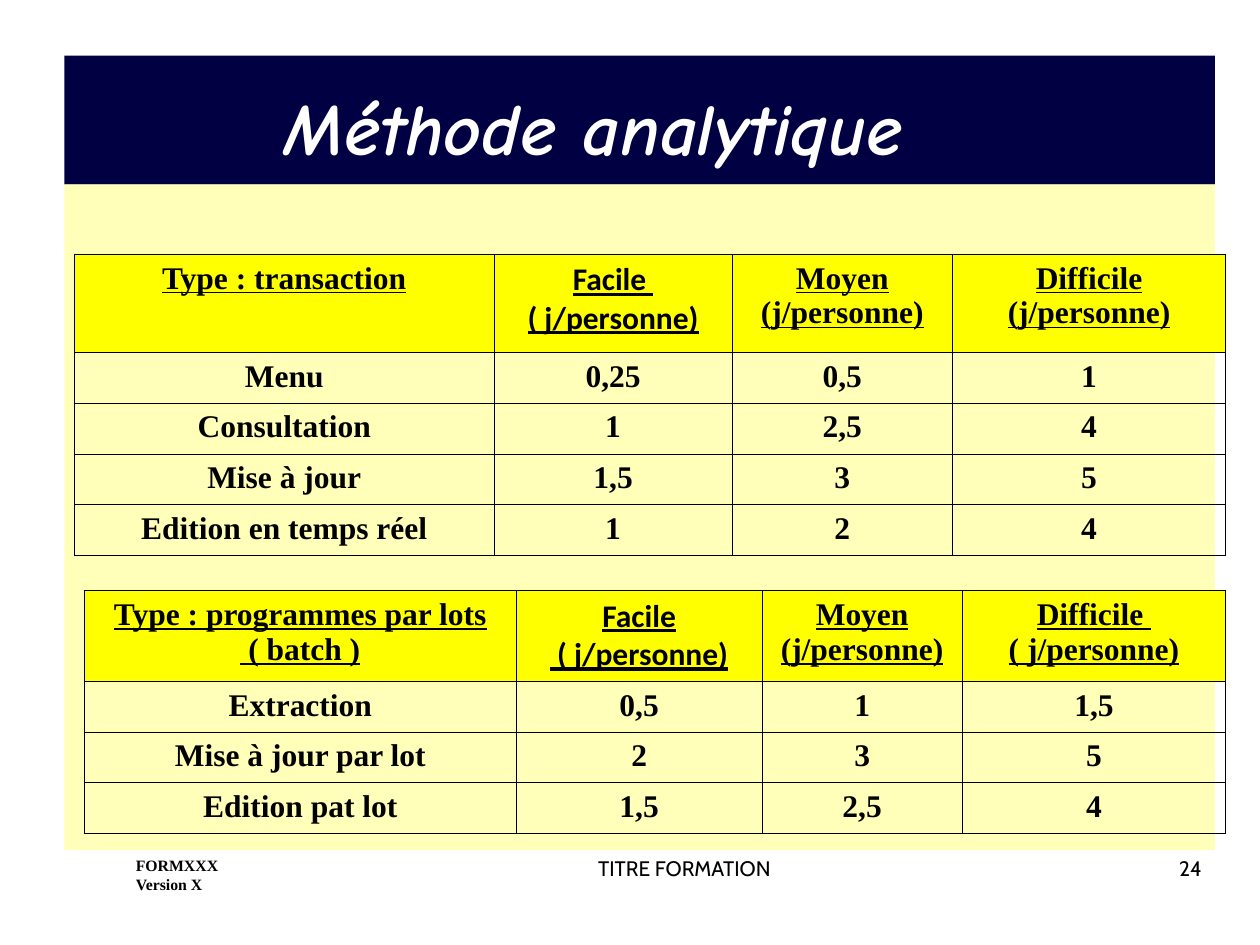
from dataclasses import dataclass

from lxml.etree import SubElement
from pptx import Presentation
from pptx.dml.color import RGBColor
from pptx.enum.shapes import MSO_SHAPE
from pptx.enum.text import MSO_ANCHOR, MSO_AUTO_SIZE, PP_ALIGN
from pptx.oxml.ns import qn
from pptx.util import Cm, Pt

SERIF = "Times New Roman"
HEADER_FONTS = (SERIF, "Calibri", SERIF, SERIF)
ROW_HEIGHT = 1.02
FOOTER_TOP = 17.12


@dataclass
class Band:
    top: float
    height: float
    color: str
    opacity: int


@dataclass
class Footer:
    left: float
    width: float
    height: float
    text: str
    align: PP_ALIGN
    font: str
    size: int
    bold: bool = False


@dataclass
class EffortTable:
    left: float
    top: float
    widths: tuple[float, ...]
    header_height: float
    headers: tuple[str, ...]
    rows: tuple[tuple[str, ...], ...]


BANDS = (
    Band(1.12, 2.6, "000042", 100),
    Band(3.72, 13.42, "FFFF99", 68),
)

FOOTERS = (
    Footer(9.7, 8.2, 1.6, "TITRE FORMATION", PP_ALIGN.CENTER, "Cabin", 12),
    Footer(20.29, 4.19, 1.6, "24", PP_ALIGN.RIGHT, "Cabin", 12),
    Footer(2.49, 4.7, 1.5, "FORMXXX\nVersion X", PP_ALIGN.LEFT, SERIF, 9, True),
)

EFFORT_TABLES = (
    EffortTable(
        1.5, 5.13, (8.46, 4.8, 4.44, 5.51), 1.98,
        ("Type : transaction", "Facile \n( j/personne)",
         "Moyen (j/personne)", "Difficile\n(j/personne)"),
        (
            ("Menu", "0,25", "0,5", "1"),
            ("Consultation", "1", "2,5", "4"),
            ("Mise à jour", "1,5", "3", "5"),
            ("Edition en temps réel", "1", "2", "4"),
        ),
    ),
    EffortTable(
        1.7, 11.91, (8.71, 4.95, 4.04, 5.31), 1.83,
        ("Type : programmes par lots\n ( batch )", "Facile\n ( j/personne)",
         "Moyen (j/personne)", "Difficile \n( j/personne)"),
        (
            ("Extraction", "0,5", "1", "1,5"),
            ("Mise à jour par lot", "2", "3", "5"),
            ("Edition pat lot", "1,5", "2,5", "4"),
        ),
    ),
)


def paint(fill, color: str) -> None:
    fill.solid()
    fill.fore_color.rgb = RGBColor.from_string(color)


def write(frame, text: str, font: str, size: int, color: str, align: PP_ALIGN,
          bold: bool = False, italic: bool = False, underline: bool = False) -> None:
    frame.text = text
    for paragraph in frame.paragraphs:
        paragraph.alignment = align
        paragraph.font.name = font
        paragraph.font.size = Pt(size)
        paragraph.font.bold = bold
        paragraph.font.italic = italic
        paragraph.font.underline = underline
        paint(paragraph.font.fill, color)


def draw_band(slide, band: Band) -> None:
    panel = slide.shapes.add_shape(
        MSO_SHAPE.RECTANGLE, Cm(1.3), Cm(band.top), Cm(23.19), Cm(band.height))
    panel.shadow.inherit = False
    panel.line.fill.background()
    paint(panel.fill, band.color)
    if band.opacity < 100:
        tint = panel.fill._xPr.find(qn("a:solidFill"))[0]
        SubElement(tint, qn("a:alpha"), val=str(band.opacity * 1000))


def draw_title(slide) -> None:
    title = slide.shapes.title
    title.left, title.top, title.width, title.height = (
        Cm(5.49), Cm(1.52), Cm(15.39), Cm(3.05))
    frame = title.text_frame
    frame.auto_size = MSO_AUTO_SIZE.NONE
    frame.vertical_anchor = MSO_ANCHOR.TOP
    write(frame, "Méthode analytique", "Comic Neue", 42, "FFFFFF",
          PP_ALIGN.LEFT, bold=True, italic=True)
    slide.shapes._spTree.append(title._element)


def draw_footer(slide, footer: Footer) -> None:
    box = slide.shapes.add_textbox(
        Cm(footer.left), Cm(FOOTER_TOP), Cm(footer.width), Cm(footer.height))
    box.text_frame.word_wrap = True
    write(box.text_frame, footer.text, footer.font, footer.size, "000000",
          footer.align, footer.bold)


def outline_cell(cell) -> None:
    properties = cell._tc.get_or_add_tcPr()
    for side in ("a:lnL", "a:lnR", "a:lnT", "a:lnB"):
        border = SubElement(properties, qn(side), w=str(Pt(0.45)))
        SubElement(SubElement(border, qn("a:solidFill")), qn("a:srgbClr"), val="000000")


def draw_table(slide, effort: EffortTable) -> None:
    heights = [effort.header_height] + [ROW_HEIGHT] * len(effort.rows)
    table = slide.shapes.add_table(
        len(heights), len(effort.widths), Cm(effort.left), Cm(effort.top),
        Cm(sum(effort.widths)), Cm(sum(heights))).table
    table.horz_banding = False
    table.first_row = False
    for column, width in zip(table.columns, effort.widths):
        column.width = Cm(width)
    for row, height in zip(table.rows, heights):
        row.height = Cm(height)
    for row_index, values in enumerate((effort.headers, *effort.rows)):
        is_header = row_index == 0
        for column_index, value in enumerate(values):
            cell = table.cell(row_index, column_index)
            cell.margin_left = cell.margin_right = Cm(0.13)
            cell.margin_top = cell.margin_bottom = Cm(0.13)
            outline_cell(cell)
            if is_header:
                paint(cell.fill, "FFFF00")
            else:
                cell.fill.background()
            write(cell.text_frame, value,
                  HEADER_FONTS[column_index] if is_header else SERIF, 18,
                  "000000", PP_ALIGN.CENTER, bold=True, underline=is_header)


def main() -> None:
    presentation = Presentation()
    presentation.slide_width = Cm(25.4)
    presentation.slide_height = Cm(19.05)
    slide = presentation.slides.add_slide(presentation.slide_layouts[5])
    for band in BANDS:
        draw_band(slide, band)
    for footer in FOOTERS:
        draw_footer(slide, footer)
    draw_title(slide)
    for effort in EFFORT_TABLES:
        draw_table(slide, effort)
    presentation.save("out.pptx")


if __name__ == "__main__":
    main()
